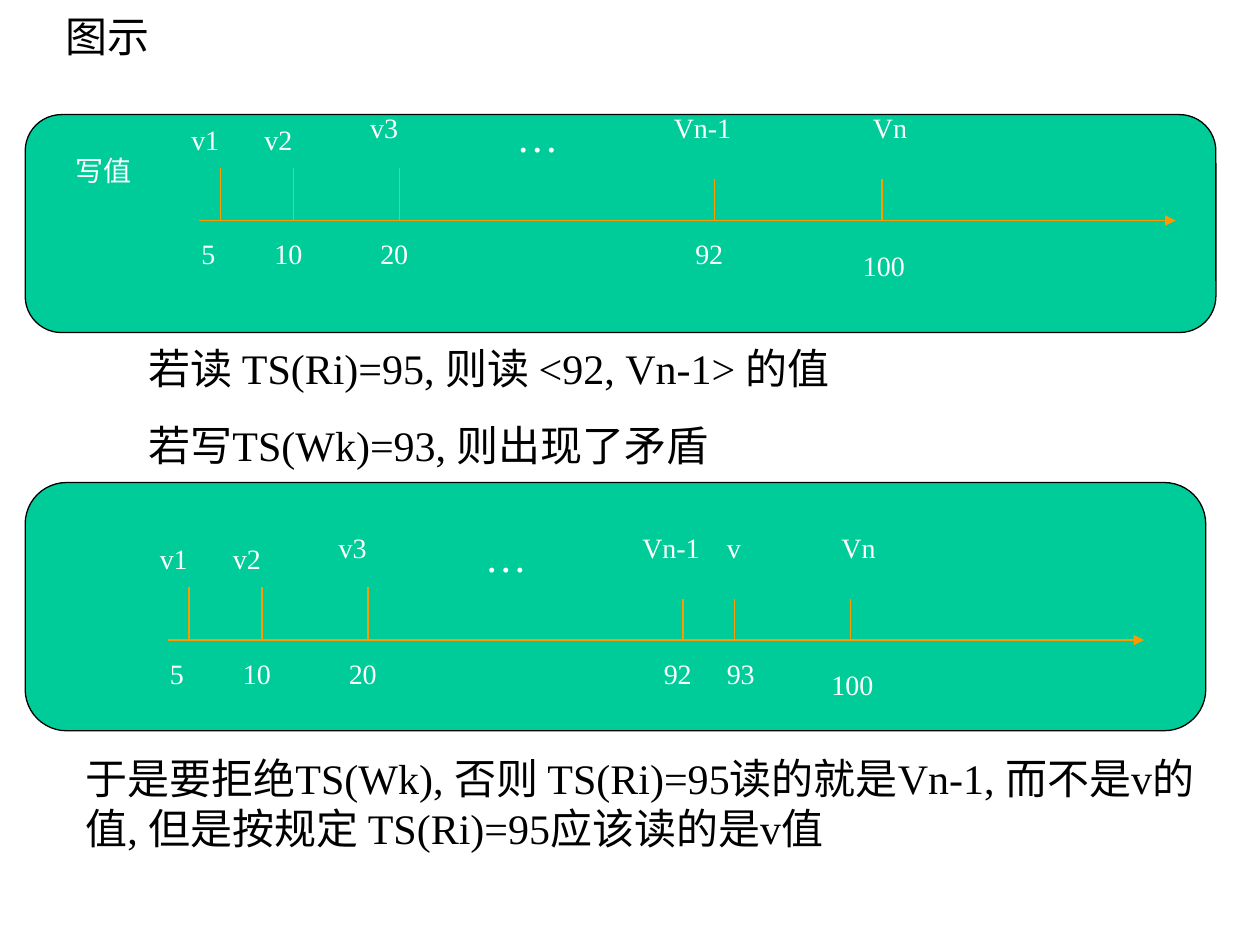
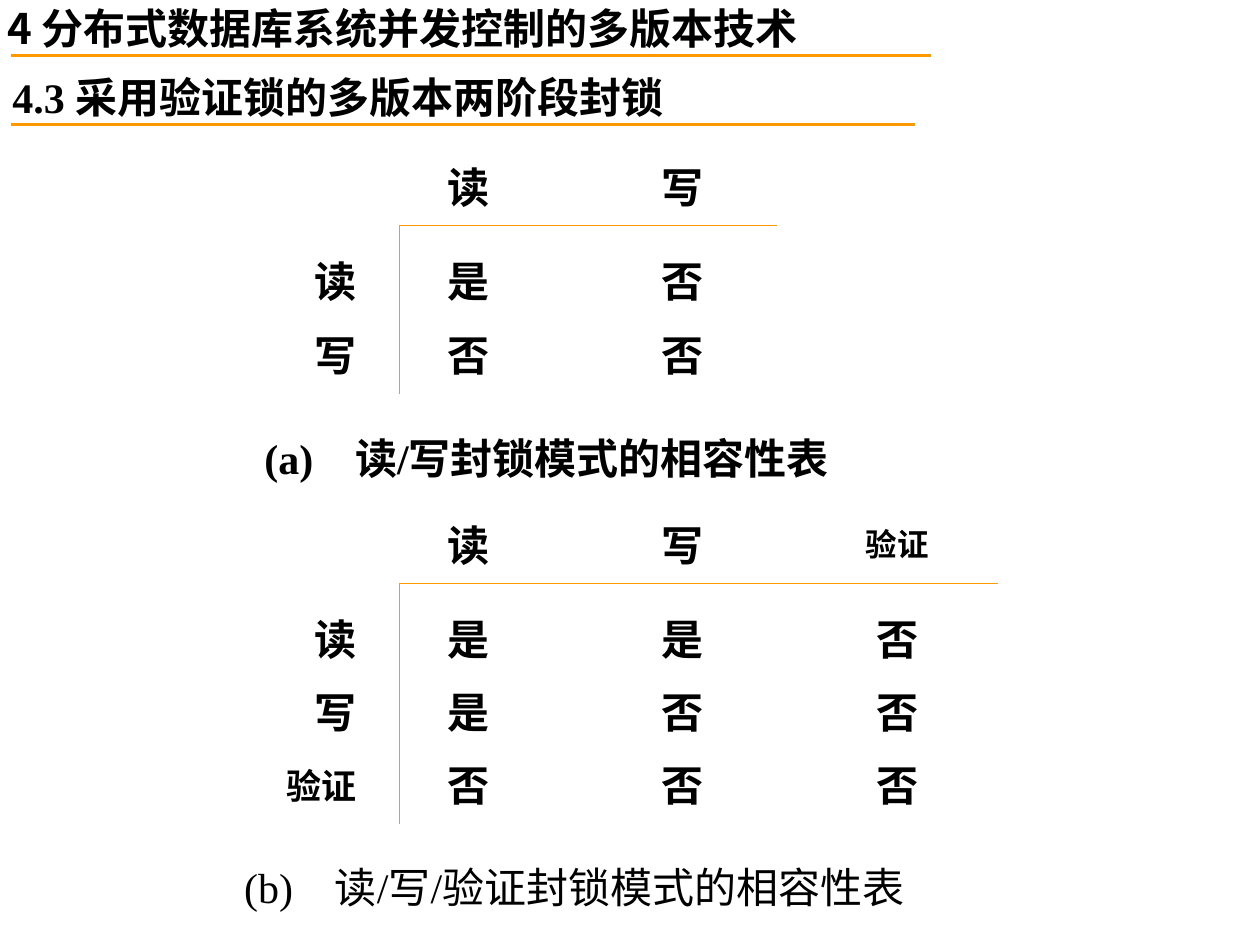
from dataclasses import dataclass

from lxml import etree
from pptx import Presentation
from pptx.dml.color import RGBColor
from pptx.enum.shapes import MSO_CONNECTOR, MSO_SHAPE
from pptx.enum.text import MSO_ANCHOR, PP_ALIGN
from pptx.oxml.ns import qn
from pptx.util import Inches, Pt

STRAIGHT = MSO_CONNECTOR.STRAIGHT
ROUNDED = MSO_SHAPE.ROUNDED_RECTANGLE
TOP, MIDDLE = MSO_ANCHOR.TOP, MSO_ANCHOR.MIDDLE
LEFT, CENTER, RIGHT = PP_ALIGN.LEFT, PP_ALIGN.CENTER, PP_ALIGN.RIGHT

BLACK = RGBColor(0x00, 0x00, 0x00)
WHITE = RGBColor(0xFF, 0xFF, 0xFF)
GREEN = RGBColor(0x00, 0xCC, 0x99)
ORANGE = RGBColor(0xFF, 0x99, 0x00)
SERIF = "Times New Roman"
SANS = "Noto Sans CJK SC"

AXIS_LENGTH = 7.75
LABEL_WIDTH = 0.7
TABLE_LEFT = 2.0
LABEL_COLUMN = 0.87
VALUE_COLUMN = 1.7
HEADER_ROW = 0.92
VALUE_ROW = 0.58
RULE_X = 3.17


@dataclass
class Style:
    size: int = 24
    color: RGBColor = BLACK
    bold: bool = False
    font: str = SERIF


@dataclass
class Version:
    name: str
    stamp: str
    tick: float
    name_shift: float = -0.33
    name_y: float = -0.92
    tick_height: float = 0.33
    stamp_shift: float = -0.25
    stamp_y: float = 0.08


@dataclass
class LockTable:
    top: float
    rows: list[list[str]]
    rule_top: float
    rule_right: float
    rule_bottom: float
    caption: str
    caption_left: float
    caption_top: float
    caption_style: Style


BODY = Style()
STRONG = Style(bold=True)
HEADING = Style(bold=True, font=SANS)
LABEL = Style(16, WHITE)
DOTS = Style(24, WHITE)

VERSIONS = [
    Version("v1", "5", 0.17, name_y=-0.83, tick_height=0.42),
    Version("v2", "10", 0.75, name_y=-0.83, tick_height=0.42),
    Version("v3", "20", 1.59, tick_height=0.42),
    Version("Vn-1", "92", 4.09, name_shift=-0.42),
    Version("Vn", "100", 5.42, name_shift=-0.17, stamp_y=0.17),
]
LATE_WRITE = Version("v", "93", 4.5, name_shift=-0.16, stamp_shift=-0.16)

LOCK_TABLES = [
    LockTable(
        1.01,
        [["", "读", "写"], ["读", "是", "否"], ["写", "否", "否"]],
        1.79, 6.17, 3.13,
        "(a)\t读/写封锁模式的相容性表", 2.0, 3.38, STRONG,
    ),
    LockTable(
        3.85,
        [["", "读", "写", "验证"], ["读", "是", "是", "否"],
         ["写", "是", "否", "否"], ["验证", "否", "否", "否"]],
        4.63, 7.92, 6.54,
        "(b)\t读/写/验证封锁模式的相容性表", 1.84, 6.79, BODY,
    ),
]


def format_run(r, style: Style) -> None:
    r.font.size = Pt(style.size)
    r.font.bold = style.bold
    r.font.name = style.font
    r.font.color.rgb = style.color


def format_paragraph(p, style: Style, align=LEFT) -> None:
    p.alignment = align
    for r in p.runs:
        format_run(r, style)


def add_text(s, left: float, top: float, width: float, height: float,
             text: str, style: Style):
    sp = s.shapes.add_textbox(Inches(left), Inches(top), Inches(width), Inches(height))
    tf = sp.text_frame
    tf.word_wrap = True
    tf.text = text
    for i, p in enumerate(tf.paragraphs):
        if i:
            p.space_before = Pt(15)
        format_paragraph(p, style)
    return sp


def add_line(s, x1: float, y1: float, x2: float, y2: float,
             width: float = 0.75, arrow: bool = False) -> None:
    line = s.shapes.add_connector(STRAIGHT, Inches(x1), Inches(y1), Inches(x2), Inches(y2))
    line.line.color.rgb = ORANGE
    line.line.width = Pt(width)
    sp_pr = line._element.spPr
    if arrow:
        etree.SubElement(sp_pr.find(qn("a:ln")), qn("a:tailEnd"), type="triangle")
    etree.SubElement(sp_pr, qn("a:effectLst"))


def set_title(s, left: float, top: float, width: float, text: str, style: Style) -> None:
    sp = s.shapes.title
    sp.left, sp.top = Inches(left), Inches(top)
    sp.width, sp.height = Inches(width), Inches(0.5)
    tf = sp.text_frame
    tf.text = text
    tf.vertical_anchor = TOP
    format_paragraph(tf.paragraphs[0], style)


def add_panel(s, top: float, width: float, height: float) -> None:
    sp = s.shapes.add_shape(ROUNDED, Inches(0.2), Inches(top), Inches(width), Inches(height))
    sp.shadow.inherit = False
    sp.fill.solid()
    sp.fill.fore_color.rgb = GREEN
    sp.line.color.rgb = BLACK
    sp.line.width = Pt(0.75)


def add_timeline(s, left: float, axis: float, versions: list[Version]) -> None:
    add_line(s, left, axis, left + AXIS_LENGTH, axis, arrow=True)
    add_text(s, left + 2.42, axis - 0.92, LABEL_WIDTH, 0.5, "…", DOTS)
    for v in versions:
        x = left + v.tick
        add_line(s, x, axis - v.tick_height, x, axis)
        add_text(s, x + v.name_shift, axis + v.name_y, LABEL_WIDTH, 0.37, v.name, LABEL)
        add_text(s, x + v.stamp_shift, axis + v.stamp_y, LABEL_WIDTH, 0.37, v.stamp, LABEL)


def lock_style(text: str, row: int) -> Style:
    if text != "验证":
        return STRONG
    return Style(20 if row else 18, bold=True)


def add_lock_table(s, lock: LockTable) -> None:
    widths = [LABEL_COLUMN] + [VALUE_COLUMN] * (len(lock.rows[0]) - 1)
    heights = [HEADER_ROW] + [VALUE_ROW] * (len(lock.rows) - 1)
    table = s.shapes.add_table(
        len(heights), len(widths), Inches(TABLE_LEFT), Inches(lock.top),
        Inches(sum(widths)), Inches(sum(heights))).table
    table.first_row = table.horz_banding = False
    for column, width in zip(table.columns, widths):
        column.width = Inches(width)
    for row, height in zip(table.rows, heights):
        row.height = Inches(height)
    for i, texts in enumerate(lock.rows):
        for j, text in enumerate(texts):
            cell = table.cell(i, j)
            cell.fill.background()
            cell.vertical_anchor = MIDDLE
            cell.margin_left = cell.margin_top = cell.margin_bottom = 0
            cell.margin_right = 0 if j else Inches(0.04)
            cell.text = text
            format_paragraph(cell.text_frame.paragraphs[0], lock_style(text, i),
                             CENTER if j else RIGHT)
    add_line(s, RULE_X, lock.rule_top, lock.rule_right, lock.rule_top)
    add_line(s, RULE_X, lock.rule_top, RULE_X, lock.rule_bottom)
    add_caption(s, lock)


def add_caption(s, lock: LockTable) -> None:
    sp = add_text(s, lock.caption_left, lock.caption_top, 6.2, 0.5,
                  lock.caption, lock.caption_style)
    p_pr = sp.text_frame.paragraphs[0]._p.get_or_add_pPr()
    tabs = etree.SubElement(p_pr, qn("a:tabLst"))
    etree.SubElement(tabs, qn("a:tab"), pos=str(Inches(0.72)), algn="l")


def build_timelines(s) -> None:
    set_title(s, 0.42, 0.03, 2, "图示", BODY)
    add_panel(s, 3.83, 9.37, 1.97)
    add_panel(s, 0.91, 9.45, 1.73)
    add_text(s, 0.5, 1.17, 0.75, 0.37, "写值", LABEL)
    add_timeline(s, 1.58, 1.75, VERSIONS)
    add_text(s, 1.08, 2.67, 7.58, 1.11,
             "若读 TS(Ri)=95, 则读 <92, Vn-1> 的值\n若写TS(Wk)=93, 则出现了矛盾", BODY)
    add_timeline(s, 1.33, 5.08, VERSIONS + [LATE_WRITE])
    add_text(s, 0.58, 5.92, 9, 0.9,
             "于是要拒绝TS(Wk), 否则 TS(Ri)=95读的就是Vn-1, 而不是v的值, "
             "但是按规定 TS(Ri)=95应该读的是v值", BODY)


def build_lock_tables(s) -> None:
    set_title(s, -0.04, -0.03, 7.99, "4 分布式数据库系统并发控制的多版本技术", HEADING)
    add_line(s, 0.09, 0.44, 7.39, 0.44, 1.5)
    sp = add_text(s, 0, 0.52, 7.99, 0.5, "4.3 ", STRONG)
    r = sp.text_frame.paragraphs[0].add_run()
    r.text = "采用验证锁的多版本两阶段封锁"
    format_run(r, HEADING)
    add_line(s, 0.09, 0.99, 7.26, 0.99, 1.5)
    for lock in LOCK_TABLES:
        add_lock_table(s, lock)


def main() -> None:
    prs = Presentation()
    prs.slide_width, prs.slide_height = Inches(10), Inches(7.5)
    for build in (build_timelines, build_lock_tables):
        build(prs.slides.add_slide(prs.slide_layouts[5]))
    prs.save("out.pptx")


if __name__ == "__main__":
    main()
